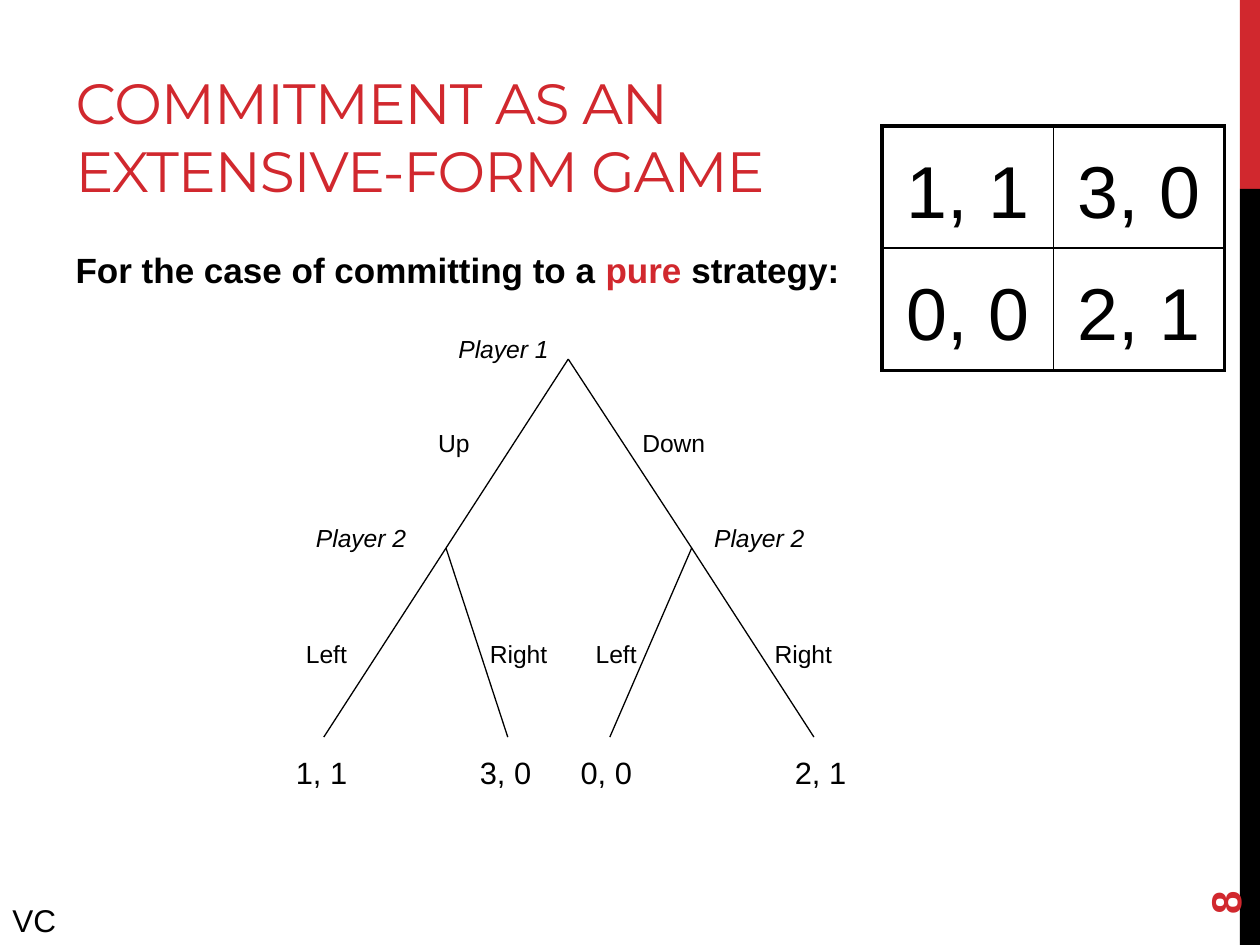
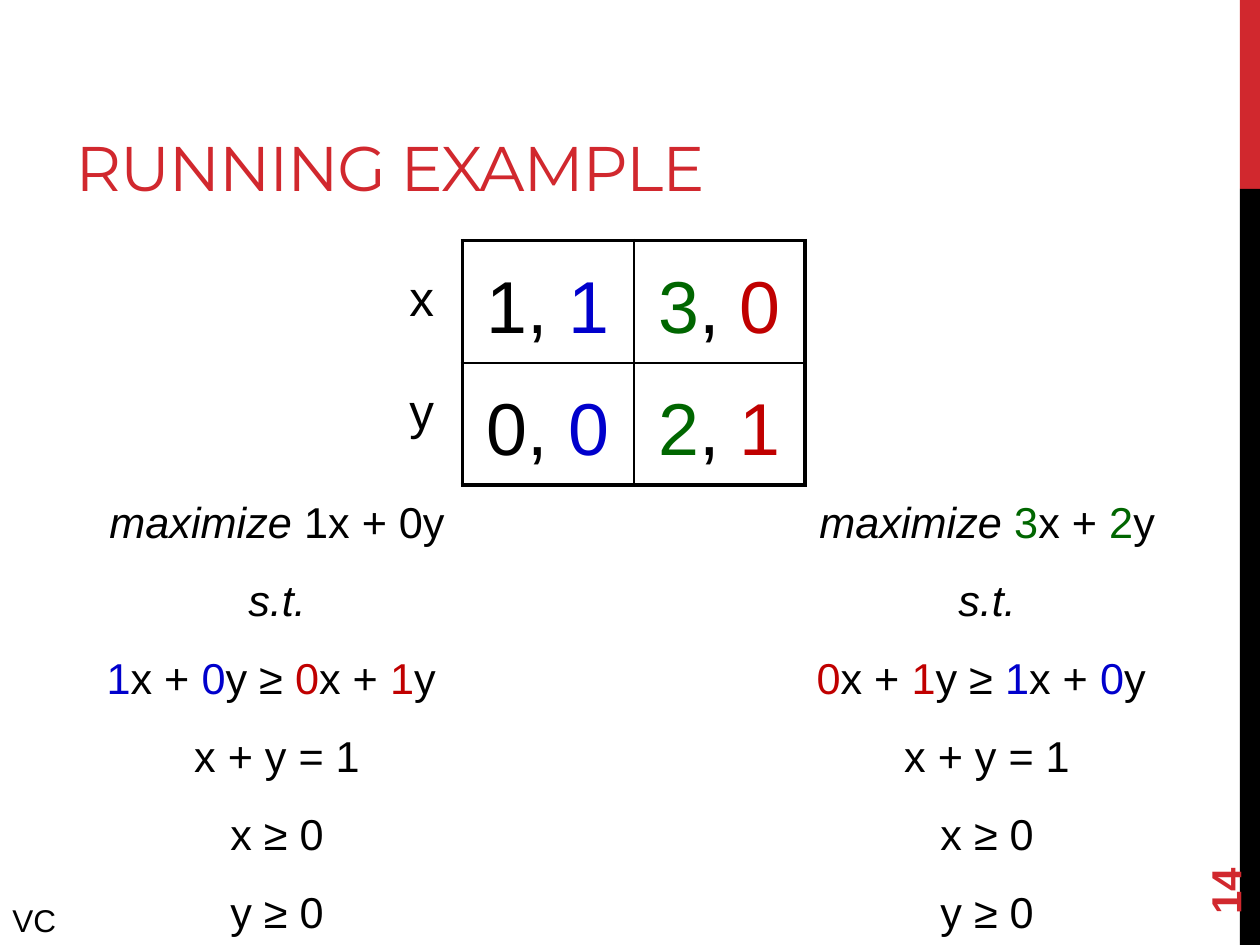
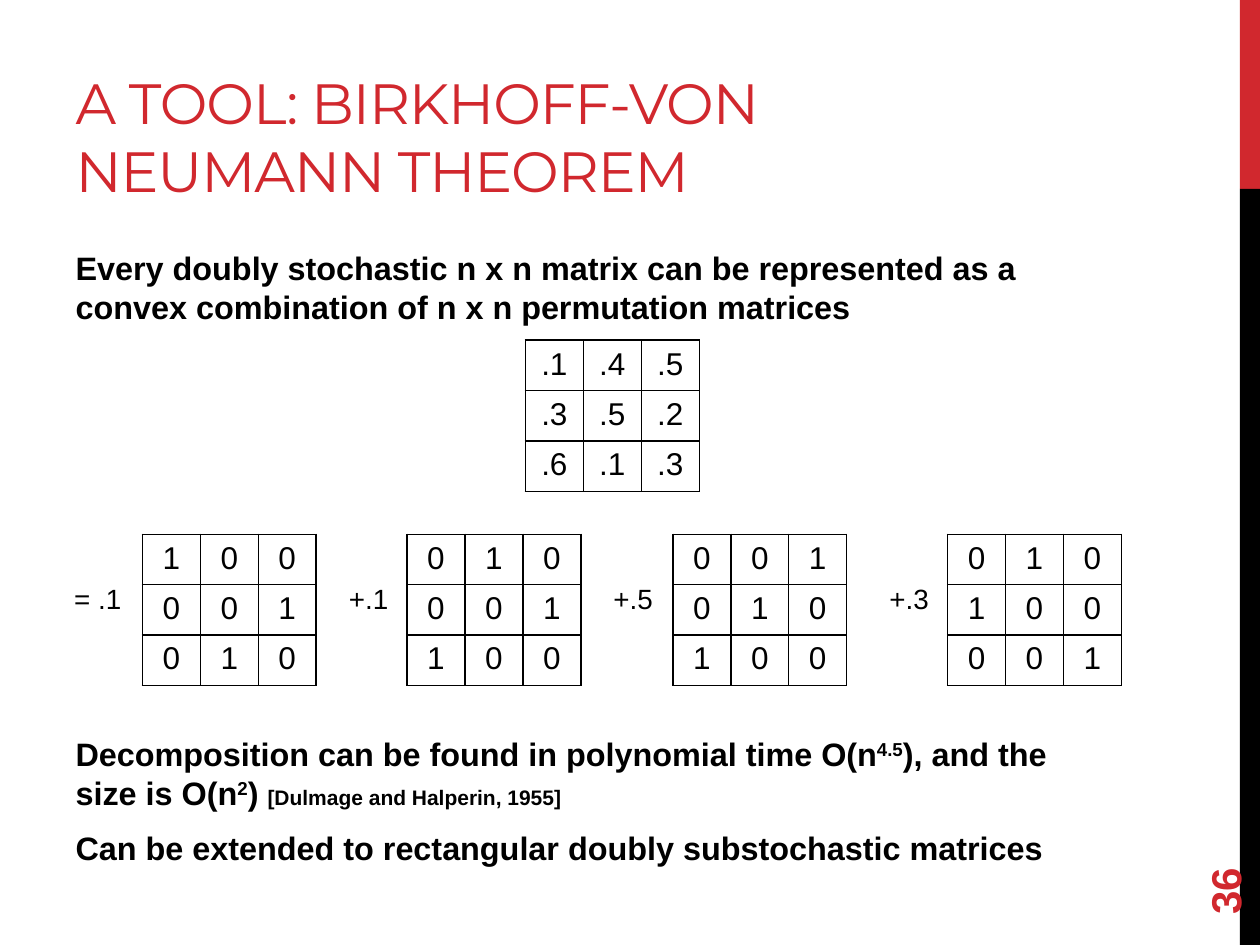
from lxml import etree
from pptx import Presentation, util as u
from pptx.dml.color import RGBColor
from pptx.enum import shapes, text
from pptx.oxml import ns

COLS, ROWS = 10, 7.5
RED, INK, WHITE = "D1282E", "000000", "FFFFFF"
LEFT, MID = text.PP_ALIGN.LEFT, text.PP_ALIGN.CENTER
TOP, CORE, BASE = text.MSO_ANCHOR.TOP, text.MSO_ANCHOR.MIDDLE, text.MSO_ANCHOR.BOTTOM

# Run styles, named by their use in the text
TONES = {
    "slant": {"italic": True},
    "pure": {"color": RED},
    "blue": {"color": "0000CC"},
    "green": {"color": "006600"},
    "red": {"color": "C00000"},
    "power": {"baseline": "30000"},
    "cite": {"size": 12},
}


def hue(code):
    return RGBColor.from_string(code)


def child(node, tag, **attrs):
    return etree.SubElement(node, ns.qn(tag), attrs)


class Deck:
    """Holds the style and the current slide."""

    def __init__(self):
        self.prs = Presentation()
        self.prs.slide_width, self.prs.slide_height = u.Inches(10), u.Inches(7.5)
        self.wide, self.high = self.prs.slide_width / COLS, self.prs.slide_height / ROWS
        self.slide = None

    def box(self, x, y, w, h):
        """Columns and rows of the grid as slide lengths."""
        return [int(n * cell) for n, cell in zip((x, y, w, h), (self.wide, self.high) * 2)]

    # Page with its title, number and footer
    def page(self, title, size, number, layout=1, foot="VC"):
        first = self.slide is None
        self.slide = self.prs.slides.add_slide(self.prs.slide_layouts[layout])
        if first:
            self.bands()
        head = self.place(self.slide.shapes.title, 0.5, 0.17, 6.33, 1.5)
        self.word(head, [title], anchor=BASE, size=size, name="Montserrat", color=RED, spc="-60")
        self.label(number, 9, 6.44, 1.44, 0.4, size=24, bold=True, color=RED,
                   anchor=CORE).rotation = 270
        if foot:
            self.label(foot, 0, 7.1, 0.76, 0.4, size=18)

    def bands(self):
        """Side bands, kept on the master for every slide."""
        tree = self.prs.slide_master.shapes._spTree
        for key, (y, h, tone) in enumerate([(0, 1.5, RED), (1.5, 6, INK)], 50):
            band = self.slide.shapes.add_shape(
                shapes.MSO_SHAPE.RECTANGLE, *self.box(9.84, y, 0.16, h))
            band.shadow.inherit = False
            band.fill.solid()
            band.fill.fore_color.rgb = hue(tone)
            band.line.fill.background()
            band._element.nvSpPr.cNvPr.set("id", str(key))
            tree.append(band._element)

    def place(self, shape, *spot):
        for key, val in zip(("left", "top", "width", "height"), self.box(*spot)):
            setattr(shape, key, val)
        return shape

    # Text: each paragraph is a string or a list of runs
    def word(self, shape, paras, anchor=TOP, **form):
        frame = shape.text_frame
        frame.word_wrap, frame.auto_size = True, text.MSO_AUTO_SIZE.NONE
        frame.vertical_anchor = anchor
        self.fill(frame, paras, **form)

    def fill(self, frame, paras, align=LEFT, space=1.0, gaps=(), after=0, hang=0, **form):
        for i, runs in enumerate(paras):
            para = frame.paragraphs[0] if i == 0 else frame.add_paragraph()
            props = para._p.get_or_add_pPr()
            props.set("marL", str(u.Inches(hang)))
            props.set("indent", str(u.Inches(-hang)))
            child(props, "a:buNone")
            before = gaps[i - 1] if i and gaps else 0
            for key, val in {"alignment": align, "line_spacing": space,
                             "space_before": u.Pt(before), "space_after": u.Pt(after)}.items():
                setattr(para, key, val)
            for part in [runs] if isinstance(runs, str) else runs:
                words, tone = (part, None) if isinstance(part, str) else part
                run = para.add_run()
                run.text = words
                self.style(run, {"name": "Arial", "color": INK, **form, **TONES.get(tone, {})})

    def style(self, run, form):
        for key, val in form.items():
            if key == "color":
                run.font.color.rgb = hue(val)
            elif key in ("spc", "baseline"):
                run._r.get_or_add_rPr().set(key, val)
            else:
                setattr(run.font, key, u.Pt(val) if key == "size" else val)

    def body(self, paras, high, **form):
        shape = self.place(self.slide.placeholders[1], 0.5, 1.92, 8.33, high)
        self.word(shape, paras, bold=True, after=6, **form)

    def label(self, words, x, y, w, h, **form):
        paras = words if isinstance(words, list) else [str(words)]
        shape = self.slide.shapes.add_textbox(*self.box(x, y, w, h))
        self.word(shape, paras, **form)
        return shape

    def line(self, start, end):
        x, y, far, low = self.box(*start, *end)
        link = self.slide.shapes.add_connector(shapes.MSO_CONNECTOR.STRAIGHT, x, y, far, low)
        link.line.color.rgb, link.line.width = hue(INK), u.Pt(0.75)
        child(link._element.spPr, "a:effectLst")

    # Table with thin inner lines and its own outer line
    def grid(self, rows, x, y, w, h, rim=1, **form):
        tall, broad = len(rows), len(rows[0])
        table = self.slide.shapes.add_table(
            tall, broad, *self.box(x, y, w * broad, h * tall)).table
        table.first_row = table.horz_banding = False
        for r, row in enumerate(rows):
            for c, runs in enumerate(row):
                cell = table.cell(r, c)
                edges = {"L": c == 0, "R": c == broad - 1, "T": r == 0, "B": r == tall - 1}
                for side, outer in edges.items():
                    self.edge(cell, side, rim if outer else 1)
                cell.fill.solid()
                cell.fill.fore_color.rgb = hue(WHITE)
                self.fill(cell.text_frame, [runs], align=MID, **form)

    def edge(self, cell, side, pts):
        rule = child(cell._tc.get_or_add_tcPr(), "a:ln" + side, w=str(u.Pt(pts)))
        child(child(rule, "a:solidFill"), "a:srgbClr", val=INK)

    def game(self, rows, x, y):
        self.grid(rows, x, y, 1.36, 0.97, rim=2.25, size=42, space=1.24)


def tree_page(deck):
    deck.page("COMMITMENT AS AN EXTENSIVE-FORM GAME", 32.4, 8)
    deck.body([["For the case of committing to a ", ("pure", "pure"), " strategy:"]], 4.78, size=20)

    # Game tree: root, two replies, four ends
    root, replies, ends = 4.51, (3.54, 5.49), (2.57, 4.03, 4.84, 6.46)
    for i, mid in enumerate(replies):
        deck.line((root, 2.85), (mid, 4.35))
        for end in ends[2 * i:2 * i + 2]:
            deck.line((mid, 4.35), (end, 5.85))

    # Players, moves and payoffs
    for name, x, y in [("Player 1", 3.54, 2.6), ("Player 2", 2.41, 4.1), ("Player 2", 5.57, 4.1)]:
        deck.label(name, x, y, 0.97, 0.34, size=14.1, italic=True)
    moves = [("Up", 3.38, 3.35), ("Down", 5, 3.35), ("Left", 2.33, 5.02),
             ("Right", 3.79, 5.02), ("Left", 4.63, 5.02), ("Right", 6.05, 5.02)]
    for name, x, y in moves:
        deck.label(name, x, y, 0.73, 0.34, size=14.1)
    pays = ["1, 1", "3, 0", "0, 0", "2, 1"]
    for pay, x in zip(pays, (2.25, 3.71, 4.51, 6.21)):
        deck.label(pay, x, 5.93, 0.97, 0.4, size=17.6)
    deck.game([pays[:2], pays[2:]], 7, 1)


def sum_of(one, two, tone=None):
    return [(one, tone), "x + ", (two, tone), "y"]


def example_page(deck):
    deck.page("RUNNING EXAMPLE", 36, 14, layout=5)
    deck.game([[["1, ", ("1", "blue")], [("3", "green"), ", ", ("0", "red")]],
               [["0, ", ("0", "blue")], [("2", "green"), ", ", ("1", "red")]]], 3.67, 1.91)
    for name, y in [("x", 2.07), ("y", 2.97)]:
        deck.label(name, 3.15, y, 0.4, 0.58, size=28.2)

    # One linear program for each column
    left, right = sum_of("1", "0", "blue"), sum_of("0", "1", "red")
    plans = [(0.15, 4.1, sum_of("1", "0"), left, right),
             (5.88, 3.91, sum_of("3", "2", "green"), right, left)]
    for x, w, goal, best, other in plans:
        deck.label([[("maximize ", "slant")] + goal, [("s.t.", "slant")],
                    best + [" ≥ "] + other + [" "], "x + y = 1", "x ≥ 0", "y ≥ 0"],
                   x, 3.78, w, 3.72, size=24.7, align=MID, space=1.24, gaps=[7.9] * 5, hang=0.36)


def theorem_page(deck):
    deck.page("A TOOL: BIRKHOFF-VON NEUMANN THEOREM", 32.4, 36, foot=None)
    deck.body(["Every doubly stochastic n x n matrix can be represented as a convex "
               "combination of n x n permutation matrices",
               ["Decomposition can be found in polynomial time O(n", ("4.5", "power"),
                "), and the size is O(n", ("2", "power"), ") ",
                ("[Dulmage and Halperin, 1955]", "cite")],
               "Can be extended to rectangular doubly substochastic matrices"],
              5, size=18.5, gaps=(227, 3.7))

    # The matrix and its weighted permutations
    def matrix(rows, x, y):
        deck.grid([row.split() for row in rows], x, y, 0.46, 0.4, size=18)

    matrix([".1 .4 .5", ".3 .5 .2", ".6 .1 .3"], 4.17, 2.7)
    one, two, three = "1 0 0", "0 1 0", "0 0 1"
    terms = [("= .1", 0.49, 1.13, (one, three, two)), ("+.1", 2.67, 3.23, (two, three, one)),
             ("+.5", 4.77, 5.34, (three, two, one)), ("+.3", 6.96, 7.52, (two, one, three))]
    for weight, x, start, rows in terms:
        matrix(rows, start, 4.24)
        deck.label(weight, x, 4.57, 0.79, 0.37, size=15.9)


def main():
    deck = Deck()
    for build in (tree_page, example_page, theorem_page):
        build(deck)
    deck.prs.save("out.pptx")


if __name__ == "__main__":
    main()
